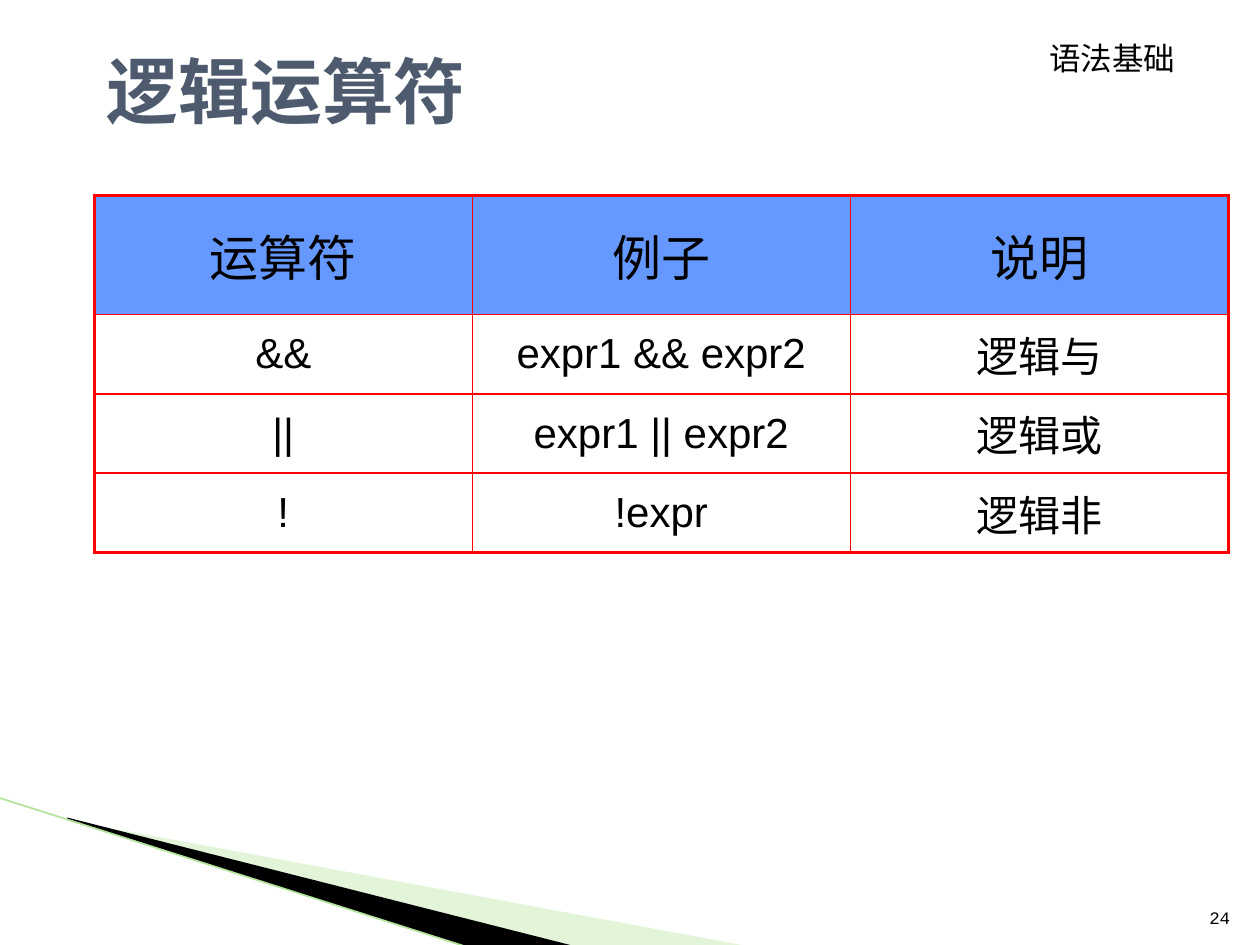
from dataclasses import dataclass

from lxml.etree import SubElement as Sub
from pptx import Presentation
from pptx.dml.color import RGBColor as Rgb
from pptx.enum.shapes import MSO_CONNECTOR as Link
from pptx.enum.text import MSO_ANCHOR as Anchor, MSO_AUTO_SIZE as Fit, PP_ALIGN as Align
from pptx.oxml.ns import qn
from pptx.util import Cm, Pt

RED = "FF0000"
BLACK = "000000"
ROWS = [
    ("运算符", "例子", "说明"),
    ("&&", "expr1 && expr2", "逻辑与"),
    ("||", "expr1 || expr2", "逻辑或"),
    ("!", "!expr", "逻辑非"),
]


@dataclass
class Wedge:
    points: list[tuple[float, float]]
    color: str
    alpha: int = 100


@dataclass
class Label:
    text: str
    box: tuple[float, float, float, float]
    size: float
    anchor: Anchor = Anchor.TOP
    align: Align = Align.LEFT
    wrap: bool = True
    fit: Fit = Fit.NONE
    space: float = 1.0


WEDGES = [
    Wedge([(1.4, 16.54), (15.11, 19.08), (11.58, 19.08), (1.4, 16.51)], "B8E7A1", 40),
    Wedge([(1.35, 16.48), (11.61, 19.08), (9.45, 19.1), (1.37, 16.51)], BLACK),
]
LABELS = [
    Label("24", (24.03, 17.81, 1.02, 1.02), 10, Anchor.BOTTOM, Align.RIGHT),
    Label("语法基础", (20.9, 0.74, 3.28, 0.97), 18, wrap=False,
          fit=Fit.SHAPE_TO_FIT_TEXT, space=0.9),
]


def paint(target, color: str) -> None:
    target.rgb = Rgb.from_string(color)


def style(para, size: float, face: str, color: str, bold: bool = False) -> None:
    for run in para.runs:
        font = run.font
        font.size, font.name, font.bold = Pt(size), face, bold
        paint(font.color, color)


def draw_wedge(slide, wedge: Wedge) -> None:
    first, *rest = [(Cm(x), Cm(y)) for x, y in wedge.points]
    pen = slide.shapes.build_freeform(*first)
    pen.add_line_segments(rest, close=True)
    shape = pen.convert_to_shape()
    shape.shadow.inherit = False
    shape.line.fill.background()
    shape.fill.solid()
    paint(shape.fill.fore_color, wedge.color)
    if wedge.alpha < 100:
        tint = shape.fill._xPr.find(".//" + qn("a:srgbClr"))
        Sub(tint, qn("a:alpha"), val=str(wedge.alpha * 1000))


def draw_edge(slide) -> None:
    ends = map(Cm, (-0.03, 16.08, 9.45, 19.1))
    edge = slide.shapes.add_connector(Link.STRAIGHT, *ends)
    edge.line.width = Pt(0.95)
    paint(edge.line.color, "B1E399")
    Sub(edge._element.spPr, qn("a:effectLst"))


def draw_title(slide) -> None:
    title = slide.shapes.title
    title.left, title.top, title.width, title.height = map(Cm, (1.9, 0.71, 22.86, 2.21))
    frame = title.text_frame
    frame.text = "逻辑运算符"
    frame.vertical_anchor = Anchor.MIDDLE
    frame.paragraphs[0].alignment = Align.LEFT
    style(frame.paragraphs[0], 41, "Courier New", "4E5B6F", True)


def draw_label(slide, label: Label) -> None:
    frame = slide.shapes.add_textbox(*map(Cm, label.box)).text_frame
    frame.text = label.text
    frame.word_wrap = label.wrap
    frame.auto_size = label.fit
    frame.vertical_anchor = label.anchor
    para = frame.paragraphs[0]
    para.alignment = label.align
    para.line_spacing = label.space
    style(para, label.size, "Courier New", BLACK)


def add_border(cell, outer: dict[str, bool]) -> None:
    props = cell._tc.get_or_add_tcPr()
    for side, thick in outer.items():
        line = Sub(props, qn(f"a:ln{side}"), w=str(Pt(2.25 if thick else 1)))
        fill = Sub(line, qn("a:solidFill"))
        Sub(fill, qn("a:srgbClr"), val=RED)


def draw_table(slide) -> None:
    rows, cols = len(ROWS), len(ROWS[0])
    box = map(Cm, (1.9, 3.94, 22.86, 7.2))
    table = slide.shapes.add_table(rows, cols, *box).table
    table.first_row = table.horz_banding = False
    for r, words in enumerate(ROWS):
        head = r == 0
        table.rows[r].height = Cm(2.4 if head else 1.6)
        for c, word in enumerate(words):
            cell = table.cell(r, c)
            cell.text = word
            cell.vertical_anchor = Anchor.MIDDLE
            add_border(cell, {"L": c == 0, "R": c == cols - 1,
                              "T": head, "B": r == rows - 1})
            if head:
                cell.fill.solid()
                paint(cell.fill.fore_color, "6699FF")
            else:
                cell.fill.background()
            para = cell.text_frame.paragraphs[0]
            para.alignment = Align.CENTER
            dent = Cm(0.95)
            props = para._p.get_or_add_pPr()
            props.set("marL", str(dent))
            props.set("indent", str(-dent))
            style(para, 28 if head else 24, "Arial", BLACK)


def main() -> None:
    deck = Presentation()
    deck.slide_width, deck.slide_height = Cm(25.4), Cm(19.05)
    slide = deck.slides.add_slide(deck.slide_layouts[5])
    for wedge in WEDGES:
        draw_wedge(slide, wedge)
    draw_edge(slide)
    draw_title(slide)
    draw_table(slide)
    for label in LABELS:
        draw_label(slide, label)
    deck.save("out.pptx")


if __name__ == "__main__":
    main()
